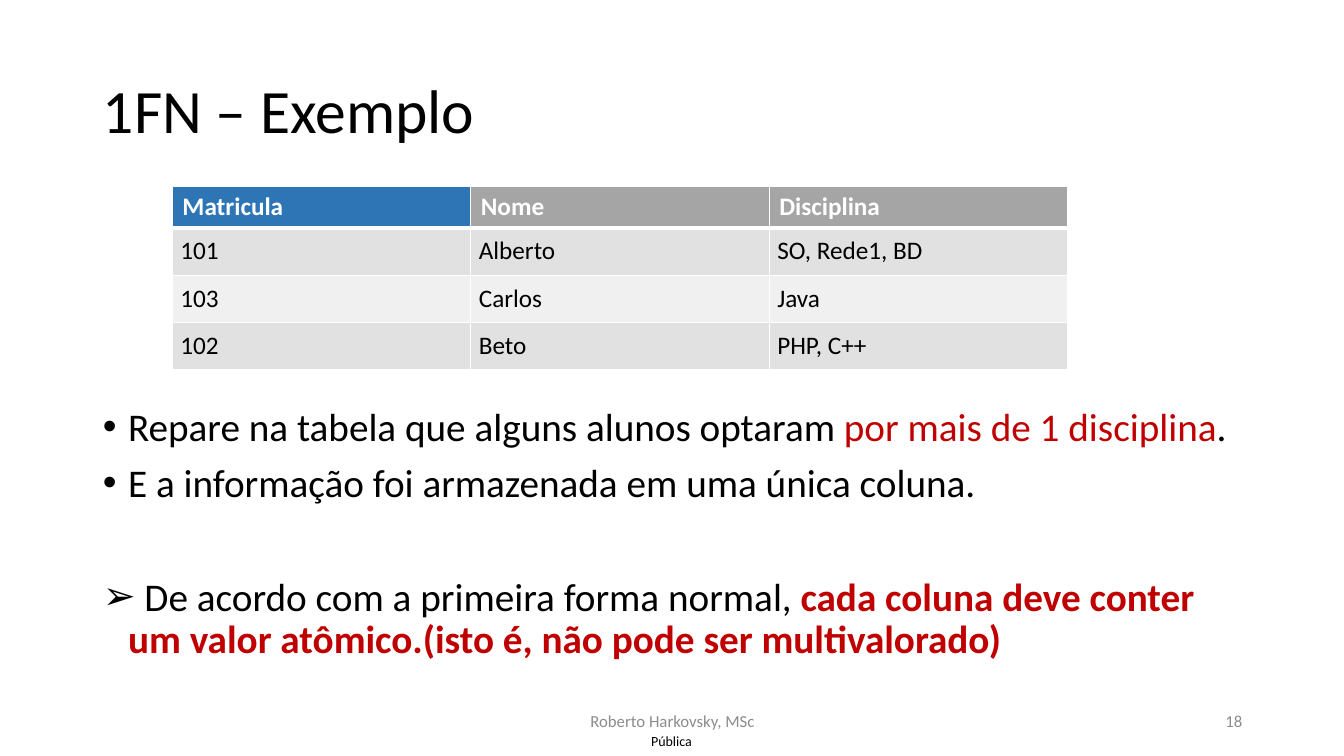
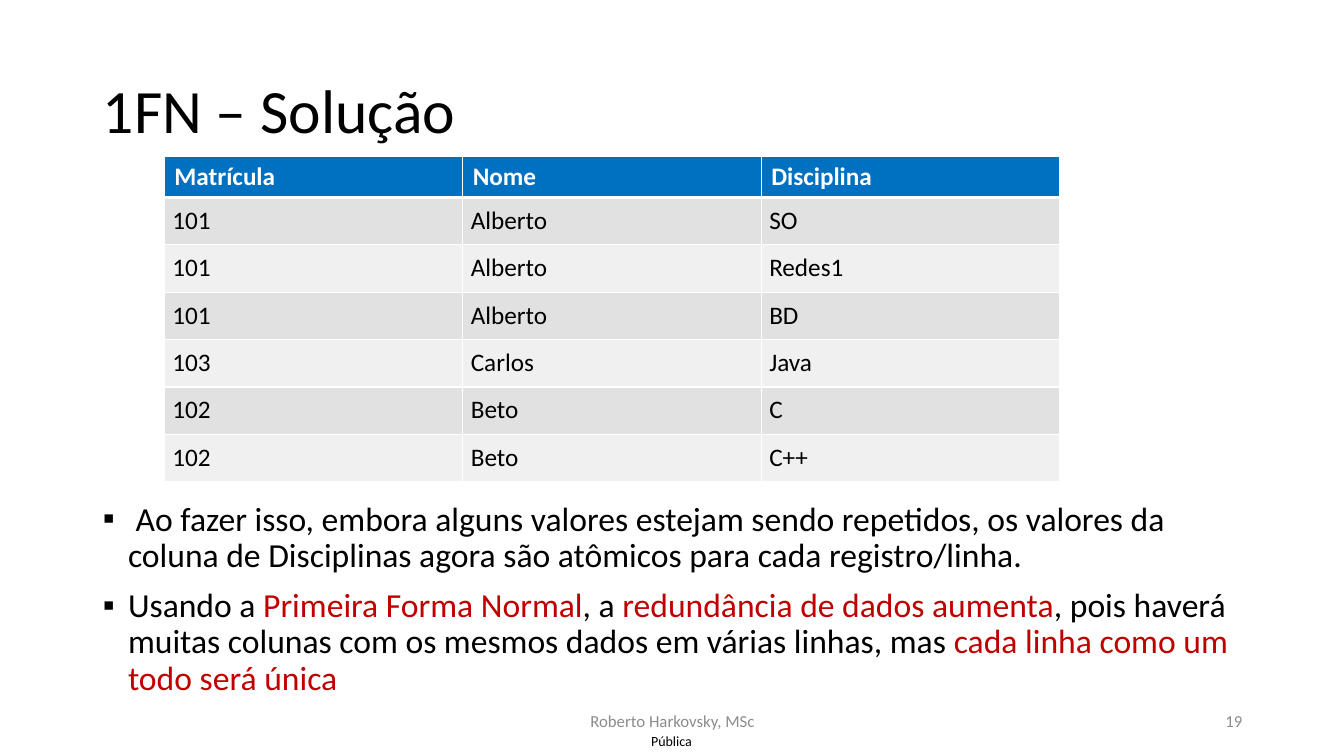
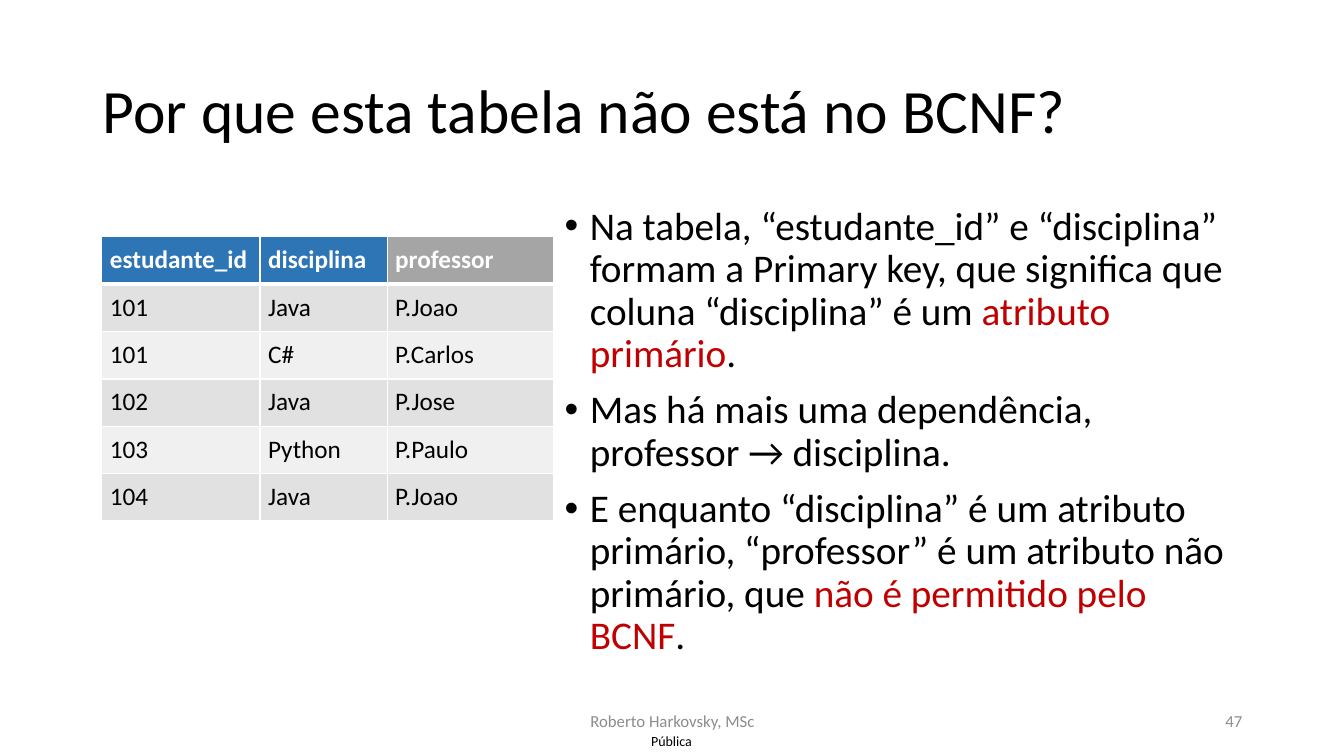
import pptx
import pptx.dml.color
import pptx.enum.text
import pptx.oxml
import pptx.oxml.ns
import pptx.util
from lxml import etree

Inches = pptx.util.Inches
Pt = pptx.util.Pt
ALIGN = pptx.enum.text.PP_ALIGN
ANCHOR = pptx.enum.text.MSO_ANCHOR

FONT = "Calibri"
COLORS = {
    "white": "FFFFFF",
    "black": "000000",
    "red": "C00000",
    "footer": "8C8C8C",
    "key": "2E75B6",
    "blue": "0070C0",
    "gray": "A5A5A5",
    "band_dark": "E1E1E1",
    "band_light": "F0F0F0",
}
TITLE_BOX = (0.92, 0.4, 11.5, 1.45)
HEADER_HEIGHT, ROW_HEIGHT = 0.41, 0.47
CELL_INSET = 0.08
BULLET_INDENT = 0.25


def rgb(name):
    return pptx.dml.color.RGBColor.from_string(COLORS[name])


def style_run(span, size, color="black", bold=False):
    span.font.name = FONT
    span.font.size = Pt(size)
    span.font.bold = bold
    span.font.color.rgb = rgb(color)


def place(shape, box):
    shape.left, shape.top, shape.width, shape.height = map(Inches, box)


def add_child(parent, tag, **attributes):
    return etree.SubElement(parent, pptx.oxml.ns.qn(tag), attributes)


# Title and footers
def fill_title(page, text):
    title = page.shapes.title
    place(title, TITLE_BOX)
    frame = title.text_frame
    frame.text = text
    frame.auto_size = pptx.enum.text.MSO_AUTO_SIZE.NONE
    frame.vertical_anchor = ANCHOR.MIDDLE
    para = frame.paragraphs[0]
    para.alignment = ALIGN.LEFT
    para.line_spacing = 0.9
    style_run(para.runs[0], 44)


def add_label(page, box, text, size, color, alignment, inset=None):
    label = page.shapes.add_textbox(*map(Inches, box))
    frame = label.text_frame
    frame.word_wrap = True
    frame.vertical_anchor = ANCHOR.MIDDLE
    if inset is not None:
        frame.margin_left = frame.margin_right = Inches(inset)
        frame.margin_top = frame.margin_bottom = Inches(inset)
    frame.text = text
    para = frame.paragraphs[0]
    para.alignment = alignment
    style_run(para.runs[0], size, color)


def add_footers(page, number):
    add_label(page, (6.31, 7.21, 0.7, 0.29), "Pública", 10, "black", ALIGN.CENTER, 0)
    add_label(page, (4.42, 6.95, 4.5, 0.4), "Roberto Harkovsky, MSc", 12, "footer",
              ALIGN.CENTER)
    add_label(page, (9.42, 6.95, 3, 0.4), str(number), 12, "footer", ALIGN.RIGHT)


# Bulleted list: each item is (bullet, space before, spans)
def set_bullet(para, mark):
    properties = para._p.get_or_add_pPr()
    properties.set("marL", str(Inches(BULLET_INDENT)))
    properties.set("indent", str(-Inches(BULLET_INDENT)))
    add_child(properties, "a:buFont", typeface="Arial")
    add_child(properties, "a:buChar", char=mark)


def fill_list(page, box, size, items):
    body = page.placeholders[1]
    place(body, box)
    frame = body.text_frame
    frame.auto_size = pptx.enum.text.MSO_AUTO_SIZE.NONE
    frame.vertical_anchor = ANCHOR.TOP
    for index, (mark, space, spans) in enumerate(items):
        para = frame.add_paragraph() if index else frame.paragraphs[0]
        set_bullet(para, mark)
        para.alignment = ALIGN.LEFT
        para.line_spacing = 0.9
        para.space_before = Pt(space)
        for text, *style in spans:
            span = para.add_run()
            span.text = text
            style_run(span, size, *style)


# Table
def set_borders(cell, row):
    properties = cell._tc.get_or_add_tcPr()
    for side in "LRTB":
        heavy = (row, side) in ((0, "B"), (1, "T"))
        line = add_child(properties, "a:ln" + side, w=str(Pt(3 if heavy else 1)))
        fill = add_child(line, "a:solidFill")
        add_child(fill, "a:srgbClr", val=COLORS["white"])


def add_grid(page, origin, widths, header_fills, rows, header_height=HEADER_HEIGHT,
             header_inset=None):
    heights = [header_height] + [ROW_HEIGHT] * (len(rows) - 1)
    frame = page.shapes.add_table(len(rows), len(widths), *map(
        Inches, (*origin, sum(widths), sum(heights))))
    table = frame.table
    table.horz_banding = False
    for column, width in zip(table.columns, widths):
        column.width = Inches(width)
    for row, (values, height) in enumerate(zip(rows, heights)):
        table.rows[row].height = Inches(height)
        band = "band_dark" if row % 2 else "band_light"
        inset = CELL_INSET if row else header_inset
        for column, value in enumerate(values):
            cell = table.cell(row, column)
            set_borders(cell, row)
            cell.fill.solid()
            cell.fill.fore_color.rgb = rgb(band if row else header_fills[column])
            if inset is not None:
                cell.margin_left = cell.margin_right = Inches(inset)
                cell.margin_top = cell.margin_bottom = Inches(inset)
            cell.text = value
            style_run(cell.text_frame.paragraphs[0].runs[0], 18,
                      "black" if row else "white", not row)


def add_page(deck, title, number, list_box, size, items, **grid):
    page = deck.slides.add_slide(deck.slide_layouts[1])
    fill_title(page, title)
    fill_list(page, list_box, size, items)
    add_footers(page, number)
    add_grid(page, **grid)


def main():
    deck = pptx.Presentation()
    deck.slide_width, deck.slide_height = Inches(13.33), Inches(7.5)

    add_page(
        deck, "1FN – Exemplo", 18, (0.92, 3.99, 11.5, 2.97), 28,
        [
            ("•", 0, [("Repare na tabela que alguns alunos optaram ",),
                      ("por mais de 1 disciplina", "red"), (".",)]),
            ("•", 10, [("E a informação foi armazenada em uma única coluna.",)]),
            ("➢", 51, [(" De acordo com a primeira forma normal, ",),
                       ("cada coluna deve conter um valor atômico."
                        "(isto é, não pode ser multivalorado)", "red", True)]),
        ],
        origin=(1.71, 1.85), widths=[2.96] * 3, header_fills=["key", "gray", "gray"],
        rows=[
            ("Matricula", "Nome", "Disciplina"),
            ("101", "Alberto", "SO, Rede1, BD"),
            ("103", "Carlos", "Java"),
            ("102", "Beto", "PHP, C++"),
        ])

    add_page(
        deck, "1FN – Solução", 19, (0.92, 4.93, 11.58, 2.02), 24,
        [
            ("▪", 0, [(" Ao fazer isso, embora alguns valores estejam sendo repetidos, os "
                       "valores da coluna de Disciplinas agora são atômicos para cada "
                       "registro/linha.",)]),
            ("▪", 10, [("Usando a ",), ("Primeira Forma Normal", "red"), (", a ",),
                       ("redundância de dados aumenta", "red"),
                       (", pois haverá muitas colunas com os mesmos dados em várias "
                        "linhas, mas ",),
                       ("cada linha como um todo será única", "red")]),
        ],
        origin=(1.63, 1.55), widths=[2.96] * 3, header_fills=["blue"] * 3,
        rows=[
            ("Matrícula", "Nome", "Disciplina"),
            ("101", "Alberto", "SO"),
            ("101", "Alberto", "Redes1"),
            ("101", "Alberto", "BD"),
            ("103", "Carlos", "Java"),
            ("102", "Beto", "C"),
            ("102", "Beto", "C++"),
        ])

    add_page(
        deck, "Por que esta tabela não está no BCNF?", 47, (5.5, 2, 6.91, 5.1), 28,
        [
            ("•", 0, [("Na tabela, “estudante_id” e “disciplina” formam a Primary key, "
                       "que significa que coluna “disciplina” é um ",),
                      ("atributo primário", "red"), (".",)]),
            ("•", 10, [("Mas há mais uma dependência, professor → disciplina.",)]),
            ("•", 10, [("E enquanto “disciplina” é um atributo primário, “professor” é um "
                        "atributo não primário, que ",),
                       ("não é permitido pelo BCNF", "red"), (".",)]),
        ],
        origin=(1.01, 2.35), widths=[1.57, 1.26, 1.65],
        header_fills=["key", "key", "gray"],
        header_height=ROW_HEIGHT, header_inset=CELL_INSET,
        rows=[
            ("estudante_id", "disciplina", "professor"),
            ("101", "Java", "P.Joao"),
            ("101", "C#", "P.Carlos"),
            ("102", "Java", "P.Jose"),
            ("103", "Python", "P.Paulo"),
            ("104", "Java", "P.Joao"),
        ])

    deck.save("out.pptx")


if __name__ == "__main__":
    main()
